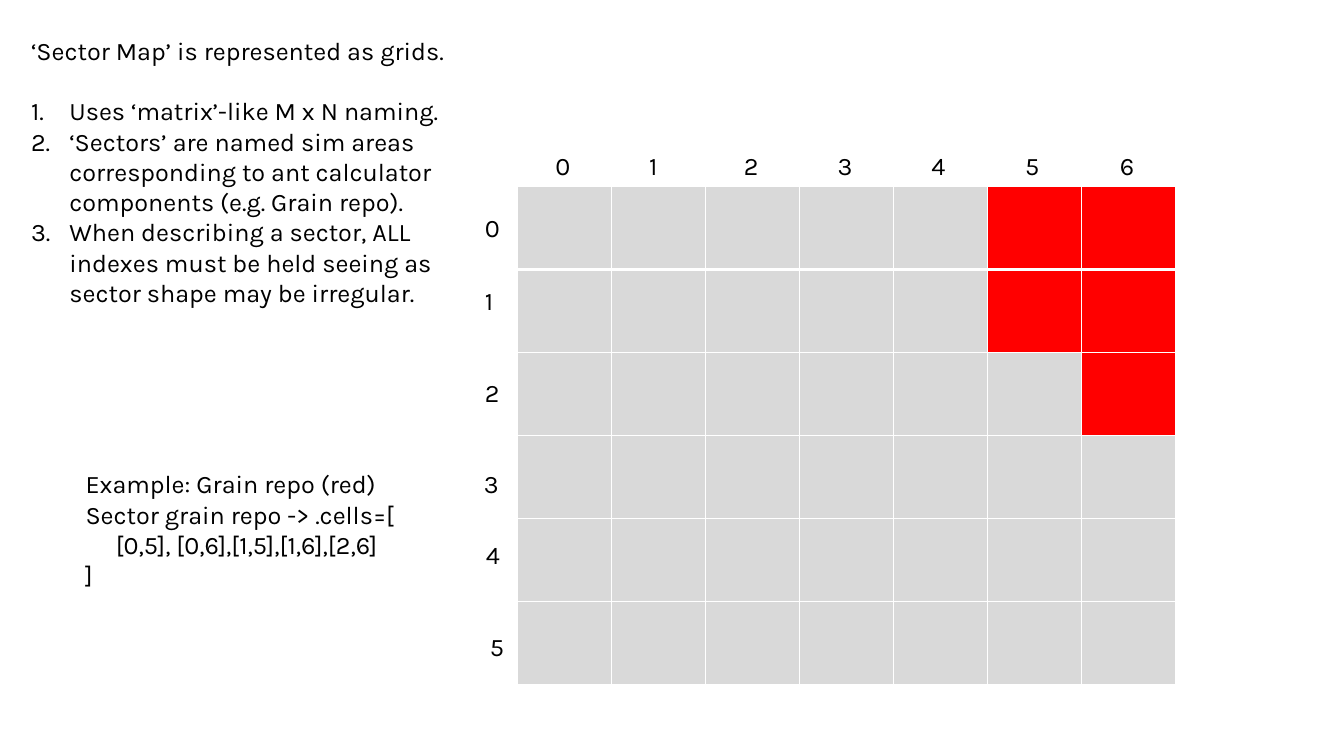
from lxml.etree import SubElement
from pptx import Presentation
from pptx.dml.color import RGBColor
from pptx.enum.text import MSO_AUTO_SIZE
from pptx.oxml.ns import qn
from pptx.util import Pt

PX = 9144  # EMU per px, 100 px to the inch
FONT = "Karla"
BLACK = RGBColor(0x00, 0x00, 0x00)
WHITE = RGBColor(0xFF, 0xFF, 0xFF)
GREY = RGBColor(0xD9, 0xD9, 0xD9)
RED = RGBColor(0xFF, 0x00, 0x00)

ROWS, COLS = 6, 7
GRAIN_REPO = {(0, 5), (0, 6), (1, 5), (1, 6), (2, 6)}
# Row labels are placed by hand: offsets from the grid's top left corner
ROW_LABELS = [(-42, 21), (-42, 93), (-42, 184), (-43, 275), (-41, 345), (-37, 436)]


def add_text(s, box, lines, wrap=False):
    """Add a text box and return its paragraphs, one per line."""
    tf = s.shapes.add_textbox(*(v * PX for v in box)).text_frame
    tf.word_wrap = wrap
    tf.auto_size = MSO_AUTO_SIZE.SHAPE_TO_FIT_TEXT
    for i, line in enumerate(lines):
        p = tf.add_paragraph() if i else tf.paragraphs[0]
        r = p.add_run()
        r.text = line
        r.font.name = FONT
        r.font.size = Pt(18)
        r.font.color.rgb = BLACK
    return tf.paragraphs


def set_borders(cell, widths):
    """Draw white borders, given in points as left, right, top, bottom."""
    tcPr = cell._tc.get_or_add_tcPr()
    for side, width in zip("LRTB", widths):
        ln = SubElement(tcPr, qn(f"a:ln{side}"), w=str(Pt(width)))
        fill = SubElement(ln, qn("a:solidFill"))
        SubElement(fill, qn("a:srgbClr"), val=str(WHITE))


def sector_grid(s, box):
    left, top, width, height = box
    table = s.shapes.add_table(ROWS, COLS, *(v * PX for v in box)).table
    table.first_row = table.horz_banding = False
    for column in table.columns:
        column.width = width * PX // COLS
    for row in table.rows:
        row.height = height * PX // ROWS

    # Cells, with a thick rule under the first row
    for i in range(ROWS):
        for j in range(COLS):
            cell = table.cell(i, j)
            set_borders(cell, (1, 1, 3 if i == 1 else 1, 3 if i == 0 else 1))
            cell.fill.solid()
            cell.fill.fore_color.rgb = RED if (i, j) in GRAIN_REPO else GREY

    # Column and row labels
    for j in range(COLS):
        add_text(s, (left + 28 + round(j * width / COLS), top - 41, 34, 40), [str(j)])
    for i, (dx, dy) in enumerate(ROW_LABELS):
        add_text(s, (left + dx, top + dy, 34, 40), [str(i)])


def rules_text(s, box):
    intro, *rules = add_text(s, box, [
        "‘Sector Map’ is represented as grids.",
        "Uses ‘matrix’-like M x N naming.",
        "‘Sectors’ are named sim areas corresponding to ant calculator "
        "components (e.g. Grain repo).",
        "When describing a sector, ALL indexes must be held seeing as "
        "sector shape may be irregular.",
    ], wrap=True)
    rules[0].space_before = Pt(21.6)
    for p in rules:
        pPr = p._p.get_or_add_pPr()
        pPr.set("marL", str(38 * PX))
        pPr.set("indent", str(-38 * PX))
        SubElement(pPr, qn("a:buFont"), typeface="+mj-lt")
        SubElement(pPr, qn("a:buAutoNum"), type="arabicPeriod")


def example_text(s, box):
    paragraphs = add_text(s, box, [
        "Example: Grain repo (red)",
        "Sector grain repo -> .cells=[",
        "[0,5], [0,6],[1,5],[1,6],[2,6]",
        "]",
    ])
    paragraphs[2]._p.get_or_add_pPr().set("marL", str(30 * PX))


def main():
    prs = Presentation()
    prs.slide_width, prs.slide_height = 1333 * PX, 750 * PX
    s = prs.slides.add_slide(prs.slide_layouts[6])
    sector_grid(s, (513, 185, 653, 494))
    rules_text(s, (21, 30, 435, 283))
    example_text(s, (75, 460, 334, 131))
    prs.save("out.pptx")


if __name__ == "__main__":
    main()
